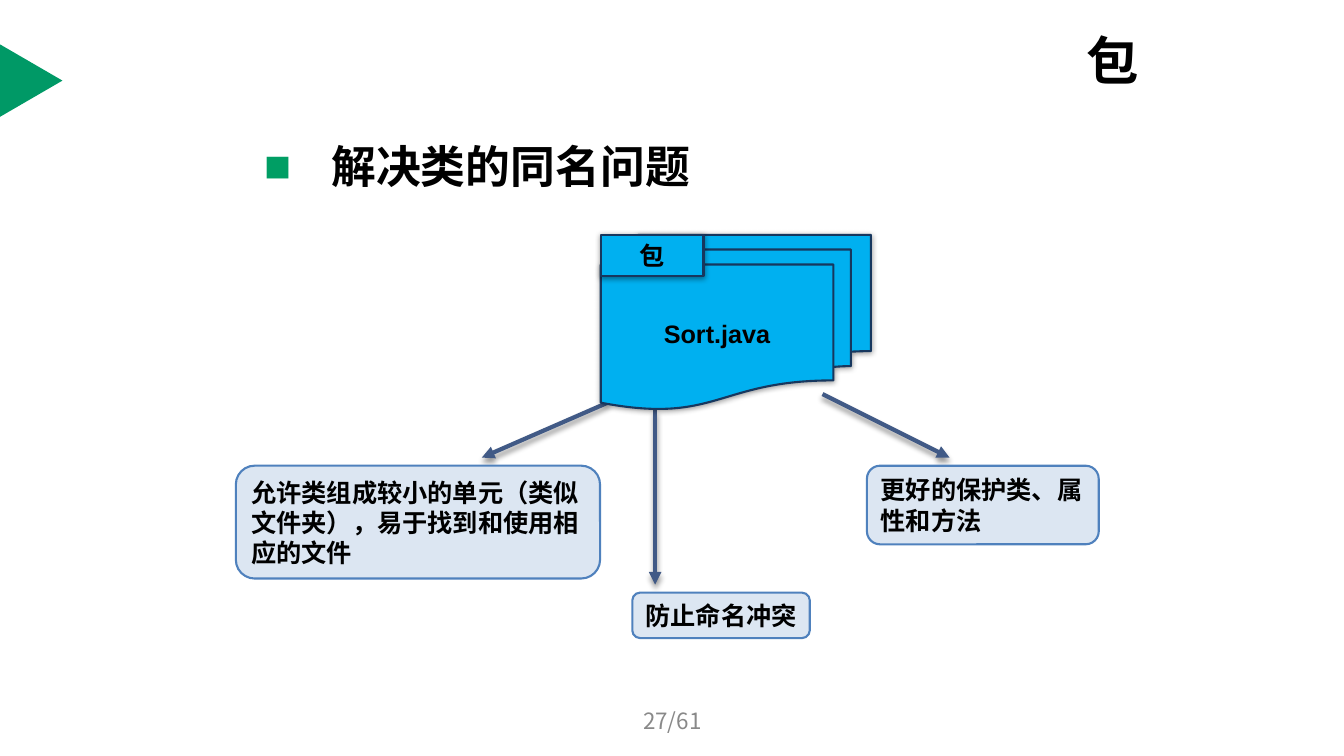
"""Build the slide on packages and class names that clash."""
import pptx
import pptx.util
import pptx.dml.color
import pptx.enum.shapes
import pptx.enum.text
import pptx.oxml
import pptx.oxml.ns

Pt = pptx.util.Pt
Kind = pptx.enum.shapes.MSO_SHAPE
Side = pptx.enum.text.PP_ALIGN
Mid = pptx.enum.text.MSO_ANCHOR.MIDDLE
qn = pptx.oxml.ns.qn
XMLNS = 'xmlns:a="http://schemas.openxmlformats.org/drawingml/2006/main"'
CJK = "Noto Sans CJK SC"


def hue(code):
    return pptx.dml.color.RGBColor.from_string(code)


def write(shape, lines, size, face=CJK, side=Side.LEFT, ink="000000", bold=True, lead=None):
    frame = shape.text_frame
    frame.word_wrap = True
    frame.auto_size = pptx.enum.text.MSO_AUTO_SIZE.NONE
    for i, line in enumerate(lines):
        para = frame.add_paragraph() if i else frame.paragraphs[0]
        para.alignment = side
        if lead:
            para.line_spacing = Pt(lead)
        run = para.add_run()
        run.text = line
        font = run.font
        font.size, font.bold, font.name = Pt(size), bold, face
        font.color.rgb = hue(ink)
        east = pptx.oxml.parse_xml(f'<a:ea {XMLNS} typeface="{CJK}"/>')
        run._r.rPr.find(qn("a:latin")).addnext(east)


deck = pptx.Presentation()
deck.slide_width = pptx.util.Inches(13.33)
deck.slide_height = pptx.util.Inches(7.5)
col, row = deck.slide_width / 100, deck.slide_height / 100
slide = deck.slides.add_slide(deck.slide_layouts[1])
shapes = slide.shapes

mark = shapes.add_shape(Kind.ISOSCELES_TRIANGLE, int(-0.38 * col), int(6.53 * row),
                        int(5.4 * col), int(8.27 * row))
mark.rotation = 90
mark.shadow.inherit = False
mark.fill.solid()
mark.fill.fore_color.rgb = hue("009966")
mark.line.fill.background()

title, body = slide.placeholders
for hold, (x, y, w, h) in ((title, (80.1, 4.13, 5.93, 7.6)), (body, (18.9, 17.73, 62.7, 74.93))):
    hold.left, hold.top = int(x * col), int(y * row)
    hold.width, hold.height = int(w * col), int(h * row)
title.text_frame.vertical_anchor = Mid
write(title, ["包"], 37.4)
write(body, ["解决类的同名问题"], 32)
props = body.text_frame.paragraphs[0]._p.get_or_add_pPr()
props.set("marL", str(int(5 * col)))
props.set("indent", str(int(-5 * col)))
for tag in ('buClr {}><a:srgbClr val="009E64"/></a:buClr', 'buFont {} typeface="Arial"/',
            'buChar {} char="■"/'):
    props.append(pptx.oxml.parse_xml(f"<a:{tag.format(XMLNS)}>"))

cast = []
for x, y, far, low in ((45.3, 53.2, 35.85, 60.53), (48.75, 54.27, 48.75, 77.33),
                       (61.2, 52.13, 70.65, 60.53)):
    arrow = shapes.add_connector(pptx.enum.shapes.MSO_CONNECTOR.STRAIGHT, int(x * col),
                                 int(y * row), int(far * col), int(low * row))
    arrow.line.color.rgb = hue("415A86")
    arrow.line.width = Pt(3)
    arrow.line._get_or_add_ln().append(
        pptx.oxml.parse_xml(f'<a:tailEnd {XMLNS} type="triangle"/>'))
    cast.append((arrow, 3))

notes = (
    (17.55, 61.6, 27.1, 14.93, Side.LEFT,
     ["允许类组成较小的单元（类似", "文件夹），易于找到和使用相", "应的文件"]),
    (47.05, 78.4, 13.2, 6, Side.CENTER, ["防止命名冲突"]),
    (64.5, 61.6, 17.25, 10.4, Side.LEFT, ["更好的保护类、属", "性和方法"]),
)
for x, y, w, h, side, lines in notes:
    note = shapes.add_shape(Kind.ROUNDED_RECTANGLE, int(x * col), int(y * row),
                            int(w * col), int(h * row))
    note.shadow.inherit = False
    note.fill.solid()
    note.fill.fore_color.rgb = hue("DCE6F2")
    note.line.color.rgb = hue("4F81BD")
    note.line.width = Pt(1.5)
    note.text_frame.vertical_anchor = Mid
    write(note, lines, 18, side=side, lead=21.5)

group = shapes.add_group_shape()
for kind, w, h, word in ((Kind.FLOWCHART_MULTIDOCUMENT, 20.1, 23.07, "Sort.java"),
                         (Kind.RECTANGLE, 7.65, 5.47, "包")):
    part = group.shapes.add_shape(kind, int(44.7 * col), int(31.07 * row),
                                  int(w * col), int(h * row))
    part.fill.solid()
    part.fill.fore_color.rgb = hue("00B0F0")
    part.line.color.rgb = hue("17375E")
    part.line.width = Pt(1.5)
    part.text_frame.vertical_anchor = Mid
    write(part, [word], 18, "Arial", Side.CENTER)
    cast.append((part, 1))

for shape, gap in cast:
    shape._element.spPr.append(pptx.oxml.parse_xml(
        f'<a:effectLst {XMLNS}><a:outerShdw blurRad="{Pt(4)}" dist="{Pt(gap)}" dir="5400000" '
        'rotWithShape="0"><a:srgbClr val="000000"><a:alpha val="40000"/></a:srgbClr>'
        '</a:outerShdw></a:effectLst>'))

page = shapes.add_textbox(int(34.2 * col), int(92.67 * row), int(31.65 * col), int(5.33 * row))
page.text_frame.vertical_anchor = Mid
write(page, ["27/61"], 16, side=Side.CENTER, ink="898989", bold=False)

deck.save("out.pptx")
